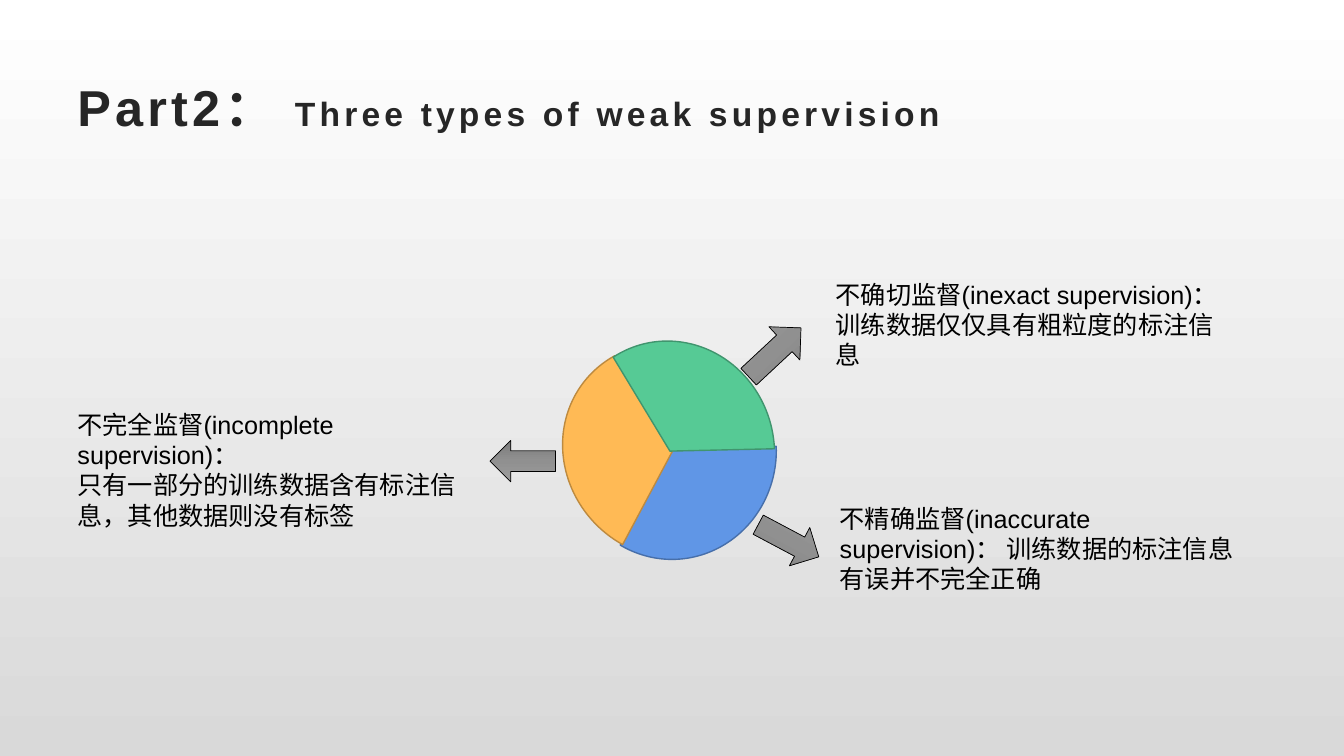
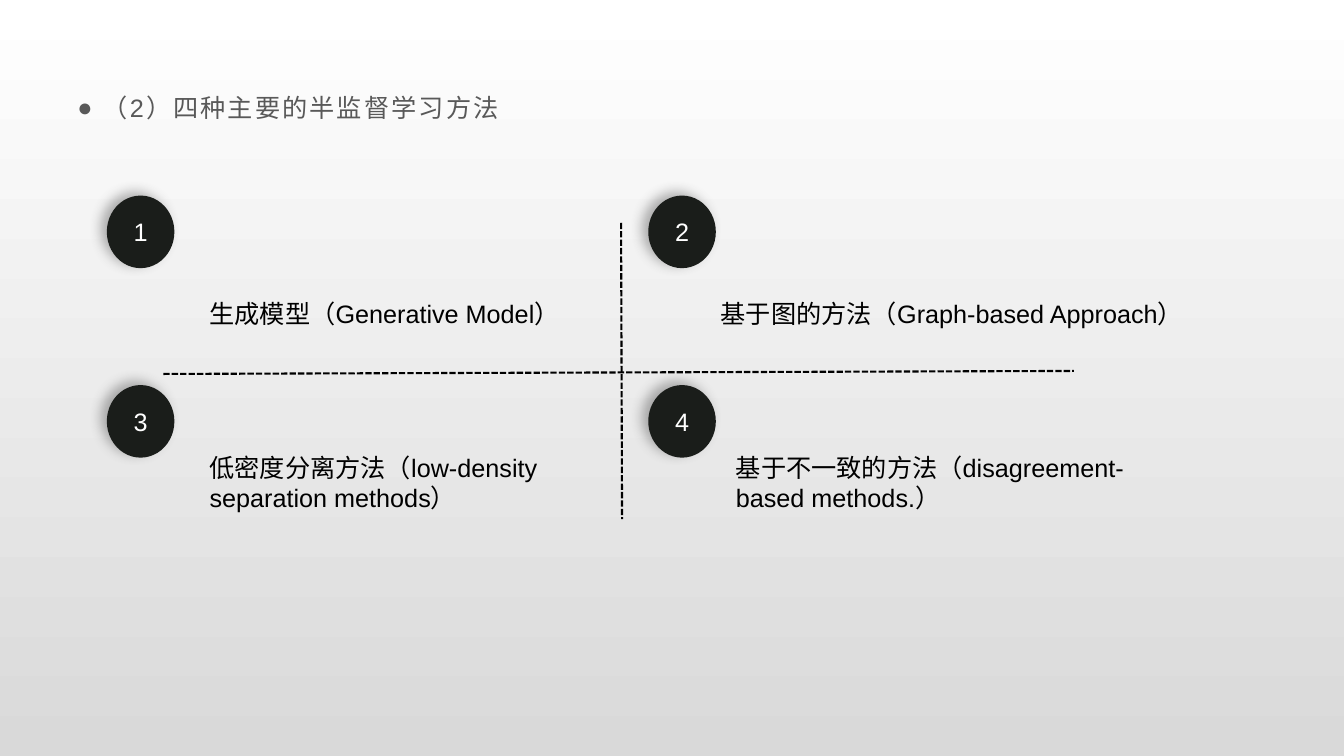
import copy

import lxml.etree
import pptx
import pptx.dml.color
import pptx.enum.dml
import pptx.enum.shapes
import pptx.enum.text
import pptx.oxml.ns
import pptx.util

SCALE = 9144  # EMU in one px: 100 px to the inch
FONT = "Arial"
BODY_SIZE = 18
BLACK, WHITE = "000000", "FFFFFF"
TITLE_COLOR, HEADING_COLOR, BADGE_COLOR = "262626", "595959", "1A1D1A"
BACKGROUND = [(0, WHITE), (1, "D9D9D9")]
ARROW_SHADES = [(0, "9D9D9D"), (0.5, "909090"), (1, "7C7C7C")]

SHAPE = pptx.enum.shapes.MSO_SHAPE
ANCHOR = pptx.enum.text.MSO_ANCHOR
qn = pptx.oxml.ns.qn


def px(value):
    return pptx.util.Emu(value * SCALE)


def rgb(color):
    return pptx.dml.color.RGBColor.from_string(color)


def add_element(parent, tag, **attributes):
    return lxml.etree.SubElement(parent, qn(tag), attributes)


def set_gradient(fill, owner, stops):
    """Fill from top to bottom; owner is the XML element that holds the fill."""
    fill.gradient()
    fill.gradient_angle = 270
    stop_list = next(owner.iter(qn("a:gsLst")))
    while len(stop_list) < len(stops):
        stop_list.append(copy.deepcopy(stop_list[-1]))
    for stop, (position, color) in zip(fill.gradient_stops, stops):
        stop.position = position
        stop.color.rgb = rgb(color)


def new_slide(deck):
    slide = deck.slides.add_slide(deck.slide_layouts[6])
    set_gradient(slide.background.fill, slide.background._cSld, BACKGROUND)
    return slide


def add_run(paragraph, text, size=BODY_SIZE, color=BLACK, bold=False, spacing=0):
    run = paragraph.add_run()
    run.text = text
    run.font.name = FONT
    run.font.size = pptx.util.Pt(size)
    run.font.bold = bold
    run.font.color.rgb = rgb(color)
    if spacing:
        run._r.get_or_add_rPr().set("spc", str(int(spacing * 100)))


def text_frame(slide, box, anchor=ANCHOR.TOP):
    frame = slide.shapes.add_textbox(*map(px, box)).text_frame
    frame.word_wrap = True
    frame.vertical_anchor = anchor
    return frame


def add_note(slide, box, *lines):
    frame = text_frame(slide, box)
    for index, line in enumerate(lines):
        paragraph = frame.add_paragraph() if index else frame.paragraphs[0]
        add_run(paragraph, line)


def add_title(slide, part, topic):
    paragraph = text_frame(slide, (67, 67, 1200, 77), ANCHOR.MIDDLE).paragraphs[0]
    for text, size in ((part, 36), (topic, 24)):
        add_run(paragraph, text, size, TITLE_COLOR, bold=True, spacing=3)


def add_heading(slide, text):
    paragraph = text_frame(slide, (67, 78, 1200, 520)).paragraphs[0]
    paragraph.line_spacing = 1.3
    paragraph.space_after = pptx.util.Pt(10)
    properties = paragraph._p.get_or_add_pPr()
    properties.set("marL", str(px(25)))
    properties.set("indent", str(px(-25)))
    add_element(properties, "a:buFont", typeface=FONT)
    add_element(properties, "a:buChar", char="●")
    add_run(paragraph, text, color=HEADING_COLOR, spacing=1.5)


def add_shape(slide, kind, box, rotation=0):
    shape = slide.shapes.add_shape(kind, *map(px, box))
    shape.shadow.inherit = False
    shape.rotation = rotation
    return shape


def set_outline(shape, color, width):
    shape.line.color.rgb = rgb(color)
    shape.line.width = pptx.util.Pt(width)


def add_sector(slide, box, rotation, angles, color, outline):
    sector = add_shape(slide, SHAPE.PIE, box, rotation)
    for index, degrees in enumerate(angles):
        sector.adjustments[index] = degrees * 0.6  # 60000 units a degree
    sector.fill.solid()
    sector.fill.fore_color.rgb = rgb(color)
    set_outline(sector, outline, 1)


def add_arrow(slide, box, rotation):
    arrow = add_shape(slide, SHAPE.RIGHT_ARROW, box, rotation)
    set_gradient(arrow.fill, arrow._element.spPr, ARROW_SHADES)
    set_outline(arrow, BLACK, 0.5)


def add_badge(slide, left, top, number):
    badge = add_shape(slide, SHAPE.OVAL, (left, top, 67, 72))
    badge.fill.solid()
    badge.fill.fore_color.rgb = rgb(BADGE_COLOR)
    badge.line.fill.background()
    # Soft shadow towards the upper left
    effects = badge._element.spPr.find(qn("a:effectLst"))
    shadow = add_element(effects, "a:outerShdw", blurRad=str(pptx.util.Pt(9)),
                         dist=str(pptx.util.Pt(5)), dir=str(210 * 60000),
                         algn="ctr", rotWithShape="0")
    tint = add_element(shadow, "a:srgbClr", val="404040")
    add_element(tint, "a:alpha", val="40000")
    badge.text_frame.vertical_anchor = ANCHOR.MIDDLE
    paragraph = badge.text_frame.paragraphs[0]
    paragraph.alignment = pptx.enum.text.PP_ALIGN.CENTER
    add_run(paragraph, str(number), color=WHITE)


def add_divider(slide, *ends):
    divider = slide.shapes.add_connector(
        pptx.enum.shapes.MSO_CONNECTOR.STRAIGHT, *map(px, ends))
    set_outline(divider, BLACK, 1.5)
    divider.line.dash_style = pptx.enum.dml.MSO_LINE.SQUARE_DOT
    add_element(divider._element.spPr, "a:effectLst")


def build_supervision_types(deck):
    slide = new_slide(deck)
    add_title(slide, "Part2： ", "Three types of weak supervision")

    # Three sectors of the disc
    add_sector(slide, (563, 339, 207, 216), 0, (357.7, 118.65), "6096E6", "476FAA")
    add_sector(slide, (562, 336, 210, 223), 128, (350.08, 110.84), "FFBA55", "BD8A3F")
    add_sector(slide, (555, 344, 219, 207), 257, (341.88, 101.7), "56CA95", "40956E")

    # Arrows from the sectors to their notes
    add_arrow(slide, (733, 327, 71, 45), 317)
    add_arrow(slide, (486, 437, 65, 41), 180)
    add_arrow(slide, (748, 515, 68, 43), 28)

    add_note(slide, (67, 401, 419, 101), "不完全监督(incomplete supervision)：",
             "只有一部分的训练数据含有标注信息，其他数据则没有标签")
    add_note(slide, (819, 272, 406, 101),
             "不确切监督(inexact supervision)： 训练数据仅仅具有粗粒度的标注信息")
    add_note(slide, (823, 494, 419, 101),
             "不精确监督(inaccurate supervision)： 训练数据的标注信息有误并不完全正确")


def build_learning_methods(deck):
    slide = new_slide(deck)
    add_heading(slide, "（2）四种主要的半监督学习方法")

    # Numbered badges, row by row
    for index in range(4):
        row, column = divmod(index, 2)
        add_badge(slide, 106 + 537 * column, 194 + 188 * row, index + 1)

    # Dashed cross between the four methods
    add_divider(slide, 162, 371, 1065, 368)
    add_divider(slide, 616, 221, 617, 515)

    add_note(slide, (198, 291, 390, 40), "生成模型（Generative Model）")
    add_note(slide, (705, 291, 505, 40), "基于图的方法（Graph-based Approach）")
    add_note(slide, (198, 444, 385, 71),
             "低密度分离方法（low-density separation methods）")
    add_note(slide, (720, 444, 440, 71),
             "基于不一致的方法（disagreement-based methods.）")


def main():
    deck = pptx.Presentation()
    deck.slide_width, deck.slide_height = px(1333), px(750)
    build_supervision_types(deck)
    build_learning_methods(deck)
    deck.save("out.pptx")


if __name__ == "__main__":
    main()
